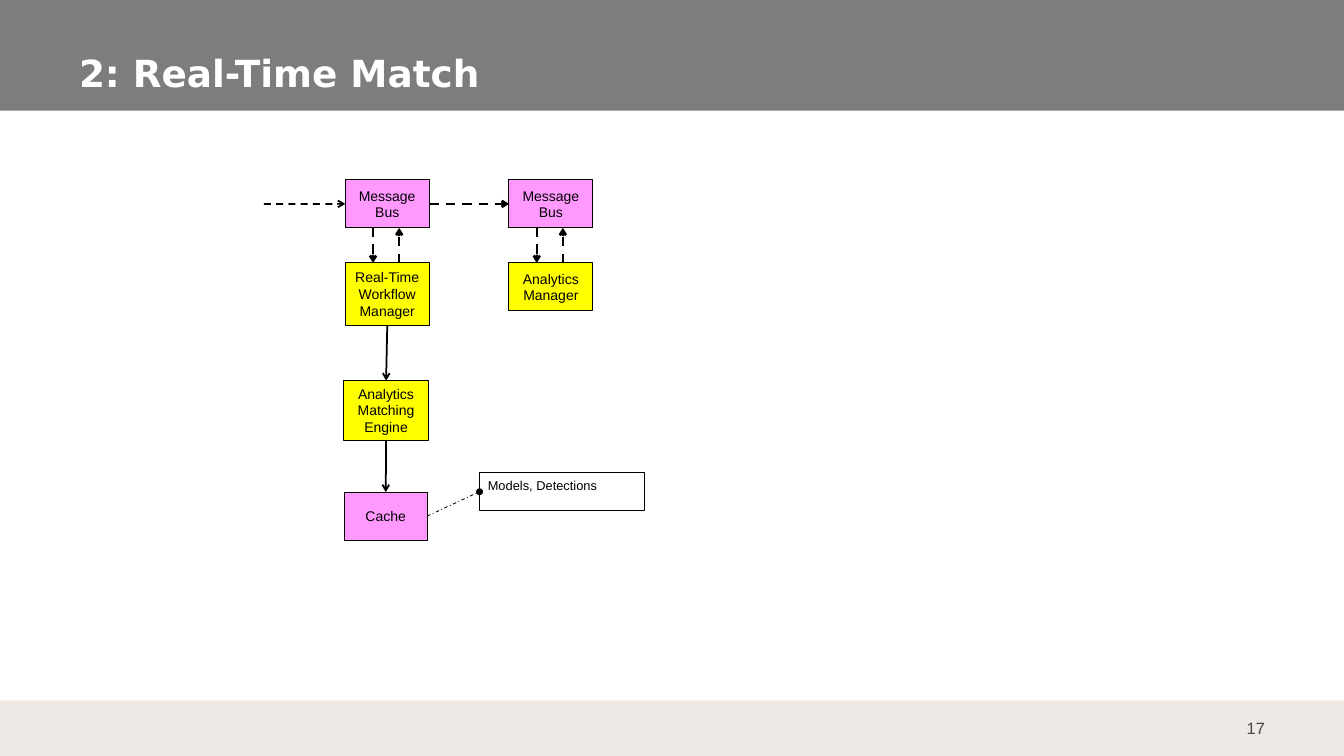
from dataclasses import dataclass
from lxml import etree
from pptx import Presentation
from pptx.dml.color import RGBColor as RGB
from pptx.enum.dml import MSO_LINE as DASH
from pptx.enum.shapes import MSO_CONNECTOR as CONN, MSO_SHAPE as SHAPE
from pptx.enum.text import MSO_ANCHOR as ANCHOR, MSO_AUTO_SIZE as AUTO, PP_ALIGN as ALIGN
from pptx.oxml.ns import qn
from pptx.util import Cm, Pt


@dataclass(frozen=True)
class Theme:
    """Colours, fonts and type sizes of the slide."""
    header: str = "7D7D7D"
    footer: str = "EFE9E5"
    white: str = "FFFFFF"
    black: str = "000000"
    number: str = "464646"
    store: str = "FF99FF"
    service: str = "FFFF00"
    title_font: str = "DejaVu Sans"
    body_font: str = "Arial"
    title_size: int = 32
    number_size: int = 14
    box_size: int = 12
    note_size: int = 11


T = Theme()
TOP, LEFT, BOTTOM, RIGHT = range(4)


def write(sp, text, size=T.box_size, color=T.black, font=T.body_font, bold=False,
          align=ALIGN.CENTER, anchor=ANCHOR.MIDDLE, wrap=False, inset=(0.25, 0.13)):
    """Fill a shape with one formatted paragraph per line of text."""
    tf = sp.text_frame
    tf.auto_size, tf.word_wrap, tf.vertical_anchor = AUTO.NONE, wrap, anchor
    tf.margin_left = tf.margin_right = Cm(inset[0])
    tf.margin_top = tf.margin_bottom = Cm(inset[1])
    for i, line in enumerate(text.split("\n")):
        p = tf.add_paragraph() if i else tf.paragraphs[0]
        p.alignment = align
        r = p.add_run()
        r.text = line
        r.font.name, r.font.size, r.font.bold = font, Pt(size), bold
        r.font.color.rgb = RGB.from_string(color)


def add_box(s, x, y, w, h, fill, line=None):
    """Add a flat rectangle, outlined when a line width is given."""
    sp = s.shapes.add_shape(SHAPE.RECTANGLE, Cm(x), Cm(y), Cm(w), Cm(h))
    sp.shadow.inherit = False
    sp.fill.solid()
    sp.fill.fore_color.rgb = RGB.from_string(fill)
    if line:
        sp.line.color.rgb = RGB.from_string(T.black)
        sp.line.width = Pt(line)
    else:
        sp.line.fill.background()
    return sp


def add_node(s, text, x, y, w, h, fill):
    """Add a labelled component of the diagram."""
    sp = add_box(s, x, y, w, h, fill, 0.75)
    write(sp, text)
    return sp


def add_arrow(s, start=(0, 0), end=(0, 0), source=None, target=None,
              width=1.5, dash=None, head="arrow"):
    """Draw an arrow between points or (shape, site) pairs."""
    c = s.shapes.add_connector(CONN.STRAIGHT, *map(Cm, (*start, *end)))
    if source:
        c.begin_connect(*source)
    if target:
        c.end_connect(*target)
    c.line.color.rgb = RGB.from_string(T.black)
    c.line.width = Pt(width)
    if dash:
        c.line.dash_style = dash
    sppr = c.element.spPr
    etree.SubElement(sppr.find(qn("a:ln")), qn("a:tailEnd"), type=head)
    etree.SubElement(sppr, qn("a:effectLst"))


def add_header(s, x, y, w, h):
    """Place the title on its grey band."""
    add_box(s, x, y, w, h, T.header)
    title = s.shapes.title
    title.left, title.top = Cm(x + 2.03), Cm(y + 1.17)
    title.width, title.height = Cm(w - 4.55), Cm(1.88)
    title.element.getparent().append(title.element)
    write(title, "2: Real-Time Match", size=T.title_size, color=T.white, font=T.title_font,
          bold=True, align=ALIGN.LEFT, anchor=ANCHOR.BOTTOM, wrap=True, inset=(0.36, 0.18))


def add_footer(s, x, y, w, h):
    """Place the page number on its pale band."""
    add_box(s, x, y, w, h, T.footer)
    tb = s.shapes.add_textbox(Cm(x + w - 4.06), Cm(y + 0.21), Cm(2.03), Cm(1.22))
    write(tb, "17", size=T.number_size, color=T.number, align=ALIGN.RIGHT,
          wrap=True, inset=(0.36, 0.18))


def add_bus(s, x, y, manager, height):
    """Stack a message bus over its manager, joined by an arrow pair."""
    w, h, gap = 2.54, 1.45, 1.06
    low = y + h + gap
    bus = add_node(s, "Message\nBus", x, y, w, h, T.store)
    node = add_node(s, manager, x, low, w, height, T.service)
    for dx, a, b in ((0.84, y + h, low), (1.63, low, y + h)):
        add_arrow(s, (x + dx, a), (x + dx, b), width=2, dash=DASH.DASH)
    return bus, node


def add_flow(s, x, y):
    """Draw the matching flow from its left entry point."""
    col = x + 2.46
    bus, workflow = add_bus(s, col, y, "Real-Time\nWorkflow\nManager", 1.88)
    bus2, _ = add_bus(s, col + 4.95, y, "Analytics\nManager", 1.45)
    engine = add_node(s, "Analytics\nMatching\nEngine", col - 0.05, y + 6.07, 2.57, 1.8, T.service)
    cache = add_node(s, "Cache", col - 0.03, y + 9.44, 2.51, 1.45, T.store)
    note = add_box(s, col + 4.06, y + 8.86, 5, 1.14, T.white, 1)
    write(note, "Models, Detections", size=T.note_size, align=ALIGN.LEFT,
          anchor=ANCHOR.TOP, wrap=True)
    add_arrow(s, (x, y + 0.73), target=(bus, LEFT), dash=DASH.DASH)
    add_arrow(s, source=(bus, RIGHT), target=(bus2, LEFT), width=2, dash=DASH.DASH)
    for upper, lower in ((workflow, engine), (engine, cache)):
        add_arrow(s, source=(upper, BOTTOM), target=(lower, TOP))
    add_arrow(s, source=(cache, RIGHT), target=(note, LEFT), width=0.75,
              dash=DASH.DASH_DOT, head="oval")


def main():
    """Build and save the slide."""
    prs = Presentation()
    prs.slide_width, prs.slide_height = Cm(40.64), Cm(22.86)
    s = prs.slides.add_slide(prs.slide_layouts[5])
    add_header(s, 0, 0, 40.64, 3.35)
    add_footer(s, 0, 21.18, 40.64, 1.68)
    add_flow(s, 7.98, 5.44)
    prs.save("out.pptx")


if __name__ == "__main__":
    main()
